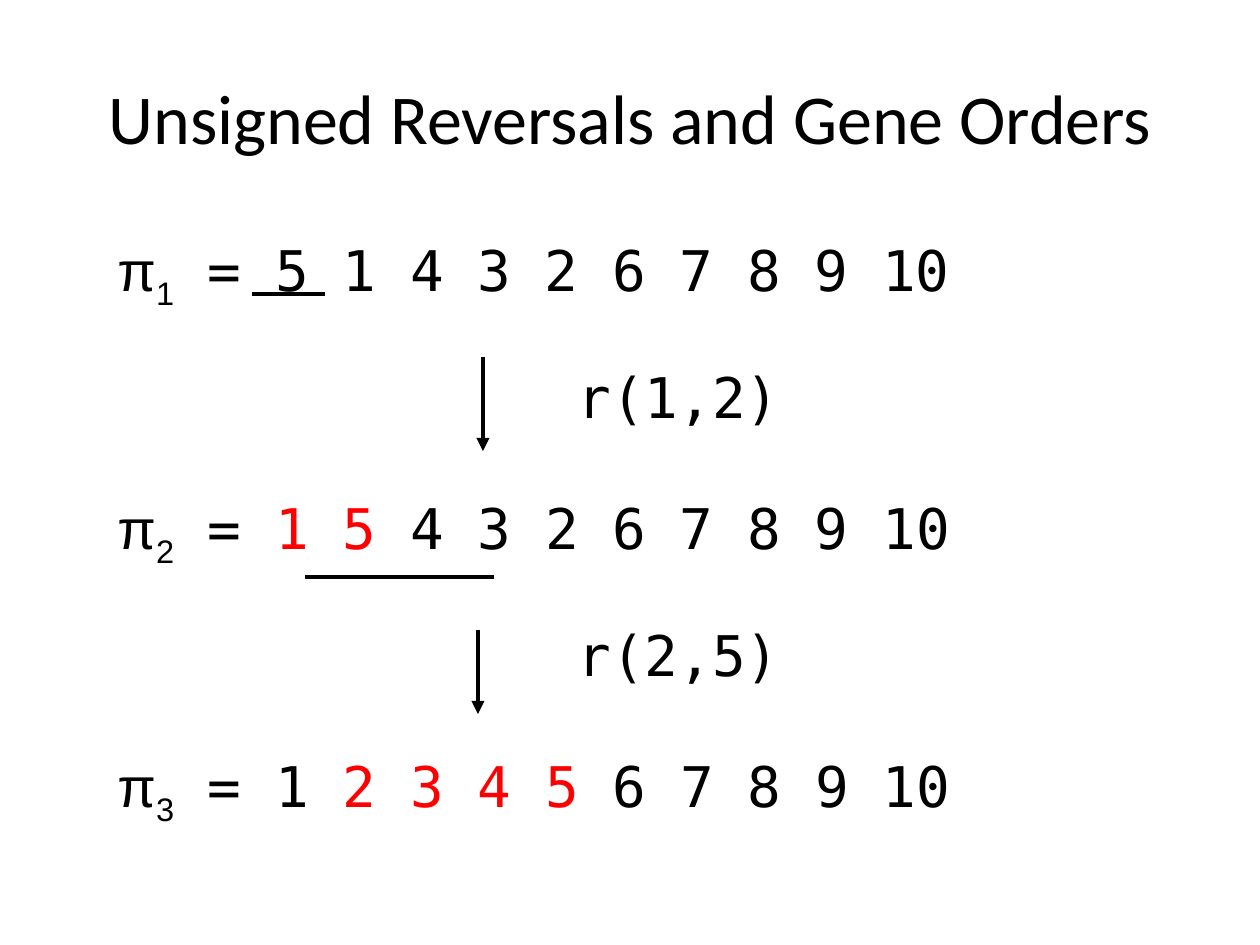
"""Slide on unsigned reversals and gene orders."""
from dataclasses import dataclass

from lxml import etree
from pptx import Presentation
from pptx import util as u
from pptx.dml.color import RGBColor
from pptx.enum import shapes, text
from pptx.oxml.ns import qn

BLACK, RED = "000000", "FF0000"
MONO = "DejaVu Sans Mono"


@dataclass
class Order:
    """A gene order split around the part that was just reversed."""
    index: str
    before: str
    changed: str = ""
    after: str = ""


@dataclass
class Line:
    """A straight line between two points, in px."""
    x1: int
    y1: int
    x2: int
    y2: int
    width: float = 2
    arrow: bool = False


ORDERS = [
    Order("1", " = 5 1 4 3 2 6 7 8 9 10"),
    Order("2", " = ", "1 5", " 4 3 2 6 7 8 9 10"),
    Order("3", " = 1 ", "2 3 4 5 ", "6 7 8 9 10"),
]
REVERSALS = ["r(1,2)", "r(2,5)"]
LINES = [
    Line(252, 294, 325, 294),
    Line(483, 357, 483, 451, 2.5, True),
    Line(305, 577, 494, 577),
    Line(478, 630, 478, 714, 2.5, True),
]


def px(length: int) -> int:
    """Turn px into EMU."""
    return round(length * u.Inches(1) / 126)


def color(value: str) -> RGBColor:
    """Turn a hex string into a colour."""
    return RGBColor.from_string(value)


def add_box(page, x: int, y: int, width: int, height: int, anchor):
    """Add a wrapping text box and return its text frame."""
    box = page.shapes.add_textbox(px(x), px(y), px(width), px(height))
    frame = box.text_frame
    frame.word_wrap = True
    frame.vertical_anchor = anchor
    return frame


def add_span(para, words: str, font=MONO, size=32, fill=BLACK, baseline=0) -> None:
    """Add a formatted run to a paragraph."""
    span = para.add_run()
    span.text = words
    span.font.name = font
    span.font.size = u.Pt(size)
    span.font.color.rgb = color(fill)
    if baseline:
        span.font._element.set("baseline", str(baseline * 1000))


def add_order(para, order: Order) -> None:
    """Write a gene order with its reversed part in red."""
    add_span(para, "π", font="Arial")
    add_span(para, order.index, font="Arial", baseline=-25)
    add_span(para, order.before)
    if order.changed:
        add_span(para, order.changed, fill=RED)
        add_span(para, order.after)


def add_reversal(para, words: str) -> None:
    """Write an indented reversal."""
    para._p.get_or_add_pPr().set("marL", str(px(460)))
    add_span(para, words)


def add_line(page, line: Line) -> None:
    """Draw a line, with an arrowhead if it has one."""
    ends = map(px, (line.x1, line.y1, line.x2, line.y2))
    connector = page.shapes.add_connector(shapes.MSO_CONNECTOR.STRAIGHT, *ends)
    connector.line.color.rgb = color(BLACK)
    connector.line.width = u.Pt(line.width)
    if line.arrow:
        etree.SubElement(connector.line._get_or_add_ln(), qn("a:tailEnd"), type="triangle")
    etree.SubElement(connector._element.spPr, qn("a:effectLst"))


def main() -> None:
    """Build and save the slide."""
    deck = Presentation()
    deck.slide_width, deck.slide_height = px(1260), px(945)
    page = deck.slides.add_slide(deck.slide_layouts[6])

    title = add_box(page, 63, 38, 1134, 158, text.MSO_ANCHOR.MIDDLE).paragraphs[0]
    title.alignment = text.PP_ALIGN.CENTER
    add_span(title, "Unsigned Reversals and Gene Orders", font="Calibri", size=40)

    body = add_box(page, 105, 242, 1134, 624, text.MSO_ANCHOR.TOP)
    for step, order in enumerate(ORDERS):
        para = body.paragraphs[0]
        if step:
            reversal = body.add_paragraph()
            add_reversal(reversal, REVERSALS[step - 1])
            para = body.add_paragraph()
            for later in (reversal, para):
                later.space_before = u.Pt(45)
        para.line_spacing = 0.7
        add_order(para, order)
    for para in body.paragraphs:
        para.line_spacing = 0.7

    for line in LINES:
        add_line(page, line)
    deck.save("out.pptx")


if __name__ == "__main__":
    main()
